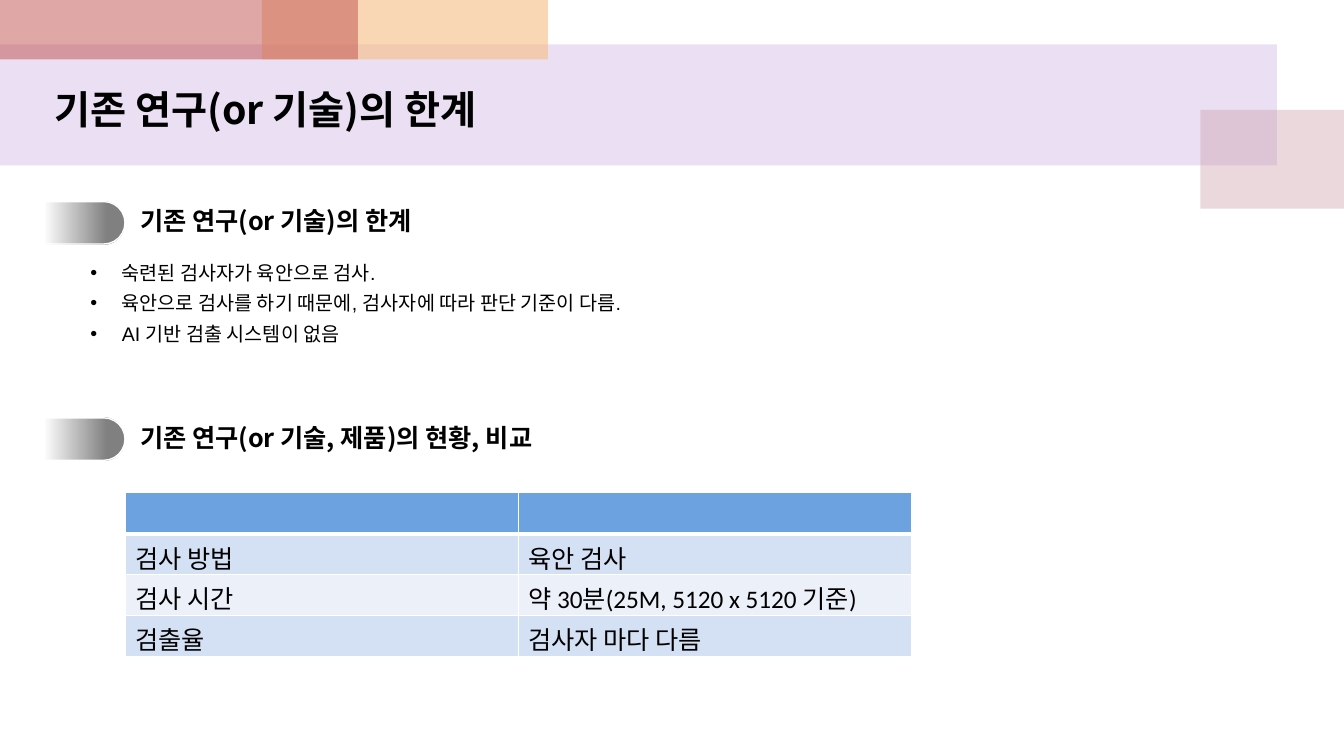
from dataclasses import dataclass
from lxml import etree
from pptx import Presentation
from pptx.dml.color import RGBColor
from pptx.enum.shapes import MSO_SHAPE
from pptx.enum.text import MSO_AUTO_SIZE
from pptx.oxml.ns import qn
from pptx.util import Cm, Pt

RECTANGLE = MSO_SHAPE.RECTANGLE
ROUNDED_TOP = MSO_SHAPE.ROUND_2_SAME_RECTANGLE
GROW = MSO_AUTO_SIZE.SHAPE_TO_FIT_TEXT


@dataclass(frozen=True)
class Theme:
    heading_font: str = "Noto Sans CJK KR"
    body_font: str = "Arial"
    table_font: str = "Calibri"
    title_size: int = 28
    heading_size: int = 18
    body_size: int = 14
    table_size: int = 18
    text: str = "000000"
    white: str = "FFFFFF"
    header_row: str = "6BA2DF"
    odd_row: str = "D4E0F3"
    even_row: str = "EBF0F9"
    lilac: str = "BF98D8"
    rose: str = "CC9EAC"
    apricot: str = "F5BC83"
    brick: str = "C0504D"


@dataclass(frozen=True)
class Box:
    left: float
    top: float
    width: float
    height: float

    def lengths(self) -> tuple:
        return Cm(self.left), Cm(self.top), Cm(self.width), Cm(self.height)


@dataclass(frozen=True)
class Band:
    box: Box
    color: str
    opacity: int


@dataclass(frozen=True)
class Section:
    heading: str
    top: float
    width: float


THEME = Theme()
BANDS = [
    Band(Box(0, 1.12, 32.18, 3.05), THEME.lilac, 30),
    Band(Box(30.25, 2.77, 3.62, 2.49), THEME.rose, 40),
    Band(Box(6.6, 0, 7.21, 1.5), THEME.apricot, 60),
    Band(Box(0, 0, 9.02, 1.5), THEME.brick, 50),
]
TITLE = "기존 연구(or 기술)의 한계"
SECTIONS = [
    Section(TITLE, 5.18, 8.38),
    Section("기존 연구(or 기술, 제품)의 현황, 비교", 10.63, 10.9),
]
LIMITS = [
    "숙련된 검사자가 육안으로 검사.",
    "육안으로 검사를 하기 때문에, 검사자에 따라 판단 기준이 다름.",
    "AI 기반 검출 시스템이 없음",
]
COMPARISON = [
    ("", ""),
    ("검사 방법", "육안 검사"),
    ("검사 시간", "약 30분(25M, 5120 x 5120 기준)"),
    ("검출율", "검사자 마다 다름"),
]


def rgb(color: str) -> RGBColor:
    return RGBColor.from_string(color)


def set_opacity(color_element, percent: int) -> None:
    etree.SubElement(color_element, qn("a:alpha"), val=str(percent * 1000))


def style_runs(paragraph, font: str, size: int, bold: bool = False) -> None:
    for run in paragraph.runs:
        run.font.name = font
        run.font.size = Pt(size)
        run.font.bold = bold
        run.font.color.rgb = rgb(THEME.text)
        if font == THEME.heading_font:
            latin = run.font._element.find(qn("a:latin"))
            latin.addnext(latin.makeelement(qn("a:ea"), {"typeface": font}))


def add_text(shapes, box: Box, text: str, font: str, size: int,
             bold: bool = False, inset: bool = True):
    frame = shapes.add_textbox(*box.lengths()).text_frame
    frame.word_wrap = True
    frame.auto_size = GROW
    if not inset:
        frame.margin_left = frame.margin_right = 0
        frame.margin_top = frame.margin_bottom = 0
    frame.text = text
    for paragraph in frame.paragraphs:
        style_runs(paragraph, font, size, bold)
    return frame


def add_band(shapes, band: Band) -> None:
    rectangle = shapes.add_shape(RECTANGLE, *band.box.lengths())
    rectangle.shadow.inherit = False
    rectangle.line.fill.background()
    rectangle.fill.solid()
    rectangle.fill.fore_color.rgb = rgb(band.color)
    fill = rectangle._element.spPr.find(qn("a:solidFill"))
    set_opacity(fill[0], band.opacity)


def add_section(shapes, section: Section) -> None:
    members = shapes.add_group_shape().shapes
    add_text(members, Box(3.53, section.top, section.width, 0.76), section.heading,
             THEME.heading_font, THEME.heading_size, bold=True, inset=False)
    marker = members.add_shape(ROUNDED_TOP, *Box(1.6, section.top - 0.58, 1.07, 2.03).lengths())
    marker.rotation = 90
    marker.adjustments[0] = 0.5
    marker.adjustments[1] = 0
    marker.shadow.inherit = False
    marker.line.color.rgb = rgb(THEME.white)
    marker.line.width = Pt(1)
    marker.fill.gradient()
    marker.fill.gradient_angle = 270
    for stop, position, opacity in zip(marker.fill.gradient_stops, (0.22, 1), (50, 0)):
        stop.position = position
        stop.color.rgb = rgb(THEME.text)
        set_opacity(stop._gs[0], opacity)


def add_limits(shapes) -> None:
    frame = add_text(shapes, Box(2.03, 6.27, 17.02, 2.59), "\n".join(LIMITS),
                     THEME.body_font, THEME.body_size)
    for paragraph in frame.paragraphs:
        properties = paragraph._p.get_or_add_pPr()
        properties.set("marL", str(Cm(0.79)))
        properties.set("indent", str(-Cm(0.79)))
        etree.SubElement(properties, qn("a:buFont"), typeface="Arial")
        etree.SubElement(properties, qn("a:buChar"), char="•")
        paragraph.line_spacing = 1.3


def add_border(cell, side: str, width: float) -> None:
    border = etree.SubElement(cell._tc.get_or_add_tcPr(), qn(f"a:{side}"), w=str(Pt(width)))
    fill = etree.SubElement(border, qn("a:solidFill"))
    etree.SubElement(fill, qn("a:srgbClr"), val=THEME.white)


def add_comparison(shapes) -> None:
    table = shapes.add_table(len(COMPARISON), 2, *Box(3.15, 12.42, 19.82, 4.12).lengths()).table
    for row, values in enumerate(COMPARISON):
        row_color = THEME.odd_row if row % 2 else THEME.even_row
        for column, value in enumerate(values):
            cell = table.cell(row, column)
            for side in ("lnL", "lnR", "lnT", "lnB"):
                under_header = (row, side) in ((0, "lnB"), (1, "lnT"))
                add_border(cell, side, 3 if under_header else 1)
            cell.fill.solid()
            cell.fill.fore_color.rgb = rgb(row_color if row else THEME.header_row)
            if value:
                cell.text_frame.text = value
                style_runs(cell.text_frame.paragraphs[0], THEME.table_font, THEME.table_size)


def main() -> None:
    presentation = Presentation()
    presentation.slide_width = Cm(33.87)
    presentation.slide_height = Cm(19.05)
    shapes = presentation.slides.add_slide(presentation.slide_layouts[6]).shapes
    for band in BANDS:
        add_band(shapes, band)
    add_text(shapes, Box(1.12, 2.03, 22.15, 1.45), TITLE,
             THEME.heading_font, THEME.title_size, bold=True)
    for section in SECTIONS:
        add_section(shapes, section)
    add_limits(shapes)
    add_comparison(shapes)
    presentation.save("out.pptx")


if __name__ == "__main__":
    main()
